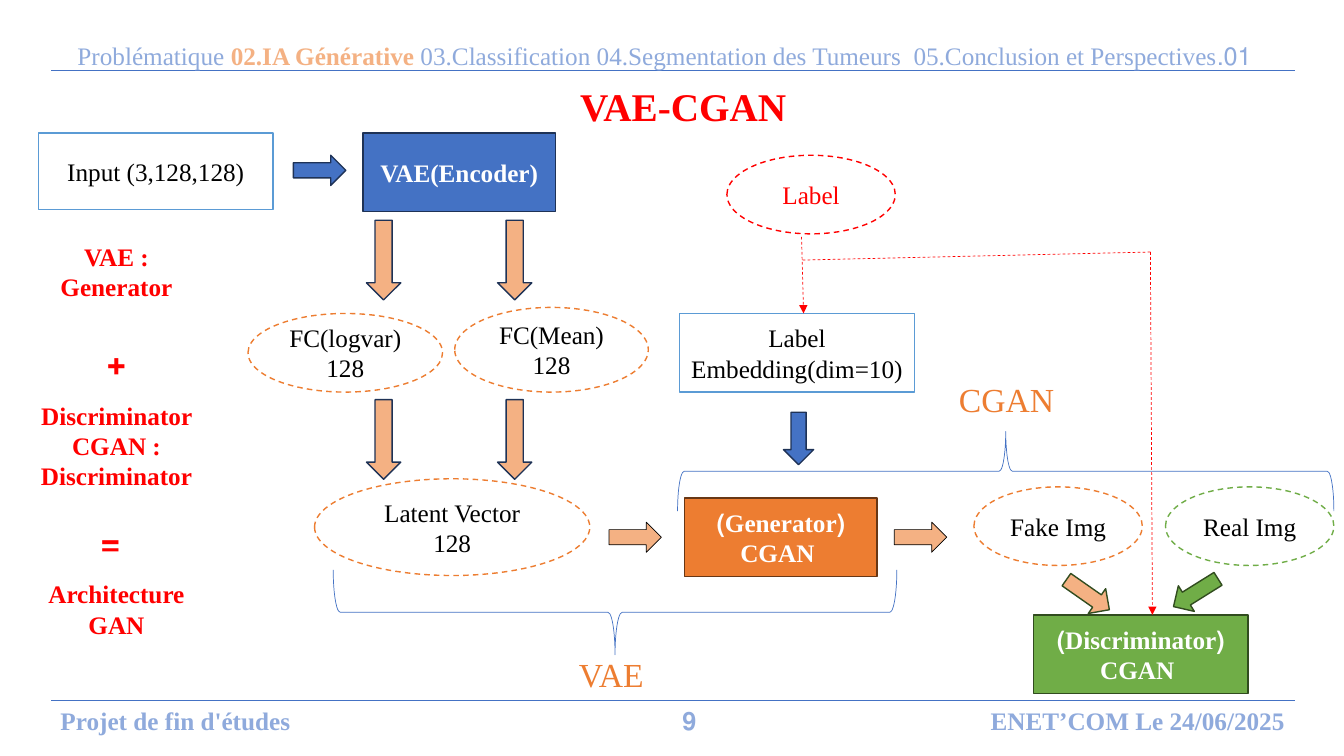
from collections import namedtuple
from dataclasses import dataclass

from pptx import Presentation
from pptx.dml.color import RGBColor
from pptx.enum.dml import MSO_LINE
from pptx.enum.shapes import MSO_CONNECTOR, MSO_SHAPE
from pptx.enum.text import MSO_ANCHOR, MSO_AUTO_SIZE, PP_ALIGN
from pptx.oxml.ns import qn
from pptx.util import Pt

PX = 9144  # 100 px to the inch
RECT, OVAL, BRACE = MSO_SHAPE.RECTANGLE, MSO_SHAPE.OVAL, MSO_SHAPE.RIGHT_BRACE
ARROW_RIGHT, ARROW_LEFT = MSO_SHAPE.RIGHT_ARROW, MSO_SHAPE.LEFT_ARROW
STRAIGHT, DASH = MSO_CONNECTOR.STRAIGHT, MSO_LINE.DASH
LEFT, CENTER, RIGHT = PP_ALIGN.LEFT, PP_ALIGN.CENTER, PP_ALIGN.RIGHT
TOP, MIDDLE = MSO_ANCHOR.TOP, MSO_ANCHOR.MIDDLE
NO_FIT, GROW = MSO_AUTO_SIZE.NONE, MSO_AUTO_SIZE.SHAPE_TO_FIT_TEXT


@dataclass(frozen=True)
class Theme:
    font: str = "Times New Roman"
    body: int = 18
    large: int = 24
    title: int = 28
    thin: float = 0.5
    outline: float = 1
    white: str = "FFFFFF"
    black: str = "000000"
    red: str = "FF0000"
    blue: str = "4472C4"
    sky: str = "5B9BD5"
    pale_blue: str = "8FAADC"
    navy: str = "1E3256"
    orange: str = "ED7D31"
    peach: str = "F4B183"
    brown: str = "683715"
    green: str = "70AD47"
    dark_green: str = "314C1F"


THEME = Theme()


class Box(namedtuple("Box", "x y w h")):
    def inside(self, x, y, w, h):
        return Box(self.x + x, self.y + y, w, h)

    def emu(self):
        return [length * PX for length in self]


def color(code):
    return RGBColor.from_string(code)


def style_span(span, size, ink, bold):
    span.font.name = THEME.font
    span.font.size = Pt(size)
    span.font.bold = bold
    span.font.color.rgb = color(ink)


def format_para(para, align):
    para.alignment = align
    para._p.get_or_add_pPr().set("rtl", "1")


def write(shape, text, ink, bold=False, size=THEME.body, align=CENTER, anchor=MIDDLE, fit=NO_FIT):
    frame = shape.text_frame
    frame.text = text
    frame.word_wrap = True
    frame.auto_size = fit
    frame.vertical_anchor = anchor
    for para in frame.paragraphs:
        format_para(para, align)
        for span in para.runs:
            style_span(span, size, ink, bold)


def add_label(page, box, text, ink, **options):
    label = page.shapes.add_textbox(*box.emu())
    write(label, text, ink, **options)
    return label


def add_figure(page, kind, box, fill=None, line=None, width=THEME.outline, dash=None, turn=0):
    figure = page.shapes.add_shape(kind, *box.emu())
    figure.shadow.inherit = False
    figure.rotation = turn
    if fill:
        figure.fill.solid()
        figure.fill.fore_color.rgb = color(fill)
    else:
        figure.fill.background()
    if line:
        figure.line.color.rgb = color(line)
        figure.line.width = Pt(width)
        figure.line.dash_style = dash
    else:
        figure.line.fill.background()
    return figure


def add_node(page, box, text, fill, line, ink=THEME.white, bold=True):
    write(add_figure(page, RECT, box, fill, line), text, ink, bold)


def add_oval(page, box, text, line, ink=THEME.black):
    write(add_figure(page, OVAL, box, THEME.white, line, dash=DASH), text, ink)


def add_line(page, box, start, end, ink, dash=None, arrow=False):
    ends = [(box.x + x, box.y + y) for x, y in (start, end)]
    line = page.shapes.add_connector(STRAIGHT, *[n * PX for point in ends for n in point])
    line.line.color.rgb = color(ink)
    line.line.width = Pt(THEME.thin)
    line.line.dash_style = dash
    if arrow:
        outline = line.line._get_or_add_ln()
        outline.append(outline.makeelement(qn("a:tailEnd"), {"type": "triangle"}))
    properties = line._element.spPr
    properties.append(properties.makeelement(qn("a:effectLst"), {}))


def draw_header(page, box):
    add_line(page, box, (0, box.h), (box.w, box.h), THEME.blue)
    label = page.shapes.add_textbox(*box.inside(16, 0, 1222, 40).emu())
    frame = label.text_frame
    frame.word_wrap = True
    frame.auto_size = GROW
    para = frame.paragraphs[0]
    format_para(para, LEFT)
    for text, ink, bold in (
        ("01.Problématique ", THEME.pale_blue, False),
        ("02.IA Générative ", THEME.peach, True),
        ("03.Classification 04.Segmentation des Tumeurs  05.Conclusion et Perspectives",
         THEME.pale_blue, False),
    ):
        span = para.add_run()
        span.text = text
        style_span(span, THEME.body, ink, bold)


def draw_title(page, box):
    title = page.shapes.title
    title.left, title.top, title.width, title.height = box.emu()
    write(title, "VAE-CGAN", THEME.red, True, THEME.title)


def draw_footer(page, box):
    add_line(page, box, (0, 0), (box.w, 0), THEME.blue)
    for x, width, text, align in (
        (-27, 300, "Projet de fin d'études", CENTER),
        (567, 666, "ENET’COM Le 24/06/2025", RIGHT),
        (616, 211, "9", LEFT),
    ):
        add_label(page, box.inside(x, 0, width, 40), text, THEME.pale_blue, bold=True,
                  align=align, anchor=TOP, fit=GROW)


def draw_formula(page, box):
    for x, y, height, text, size in (
        (0, 0, 78, "VAE : Generator", THEME.body),
        (0, 155, 114, "Discriminator CGAN : Discriminator", THEME.body),
        (0, 89, 78, "+", THEME.large),
        (-6, 268, 78, "=", THEME.large),
        (0, 317, 114, "Architecture GAN", THEME.body),
    ):
        term = add_figure(page, RECT, box.inside(x, y, box.w, height), THEME.white)
        write(term, text, THEME.red, True, size)


def draw_vae(page, box):
    # Input and encoder
    add_node(page, box.inside(0, 0, 233, 76), "Input (3,128,128)", THEME.white, THEME.sky,
             THEME.black, False)
    add_figure(page, ARROW_RIGHT, box.inside(253, 22, 52, 30), THEME.blue, THEME.navy)
    add_node(page, box.inside(322, 0, 191, 78), "VAE(Encoder)", THEME.blue, THEME.navy)
    # Latent layers
    add_oval(page, box.inside(413, 173, 192, 84), "FC(Mean)128", THEME.orange)
    add_oval(page, box.inside(208, 179, 193, 78), "FC(logvar)128", THEME.orange)
    add_oval(page, box.inside(274, 343, 273, 96), "Latent Vector 128", THEME.orange)
    for x in (303, 433):
        for y in (109, 287):
            add_figure(page, ARROW_LEFT, box.inside(x, y, 79, 34), THEME.peach, THEME.navy,
                       turn=270)
    add_figure(page, ARROW_RIGHT, box.inside(566, 386, 52, 30), THEME.peach, THEME.black,
               THEME.thin)
    # Brace and its name
    add_figure(page, BRACE, box.inside(530, 196, 84, 559), line=THEME.blue, width=THEME.thin, turn=90)
    add_label(page, box.inside(384, 503, 377, 68), " VAE", THEME.orange, size=THEME.large)


def draw_cgan(page, box):
    # Label and embedding
    add_oval(page, box.inside(47, 0, 167, 78), "Label", THEME.red, THEME.red)
    add_node(page, box.inside(0, 157, 233, 78), "Label Embedding(dim=10)", THEME.white,
             THEME.sky, THEME.black, False)
    add_figure(page, ARROW_RIGHT, box.inside(92, 266, 52, 30), THEME.blue, THEME.navy, turn=90)
    # Generator, images and discriminator
    add_node(page, box.inside(5, 340, 191, 78), "(Generator)\n CGAN", THEME.orange, THEME.brown)
    add_figure(page, ARROW_RIGHT, box.inside(213, 364, 52, 30), THEME.peach, THEME.black,
               THEME.thin)
    add_oval(page, box.inside(292, 329, 167, 78), "Fake Img", THEME.orange)
    add_oval(page, box.inside(482, 329, 167, 78), "Real Img", THEME.green)
    add_node(page, box.inside(351, 456, 213, 78), "(Discriminator)\n CGAN", THEME.green,
             THEME.dark_green)
    for x, y, turn, fill in ((379, 421, 35, THEME.peach), (486, 419, 148, THEME.green)):
        add_figure(page, ARROW_RIGHT, box.inside(x, y, 52, 30), fill, THEME.dark_green, turn=turn)
    # Label path
    for start, end, arrow in (
        ((121, 81), (123, 157), True),
        ((122, 104), (468, 96), False),
        ((467, 96), (469, 456), True),
    ):
        add_line(page, box, start, end, THEME.red, DASH, arrow)
    # Brace and its name
    add_figure(page, BRACE, box.inside(284, -12, 79, 651), line=THEME.blue, width=THEME.thin, turn=270)
    add_label(page, box.inside(140, 208, 377, 68), " CGAN", THEME.orange, size=THEME.large)


def main():
    deck = Presentation()
    deck.slide_width, deck.slide_height = 1333 * PX, 750 * PX
    page = deck.slides.add_slide(deck.slide_layouts[5])
    draw_title(page, Box(517, 78, 321, 54))
    draw_header(page, Box(51, 35, 1233, 35))
    draw_footer(page, Box(51, 695, 1233, 40))
    draw_formula(page, Box(20, 230, 191, 431))
    draw_vae(page, Box(38, 132, 618, 571))
    draw_cgan(page, Box(674, 154, 649, 534))
    deck.save("out.pptx")


if __name__ == "__main__":
    main()
